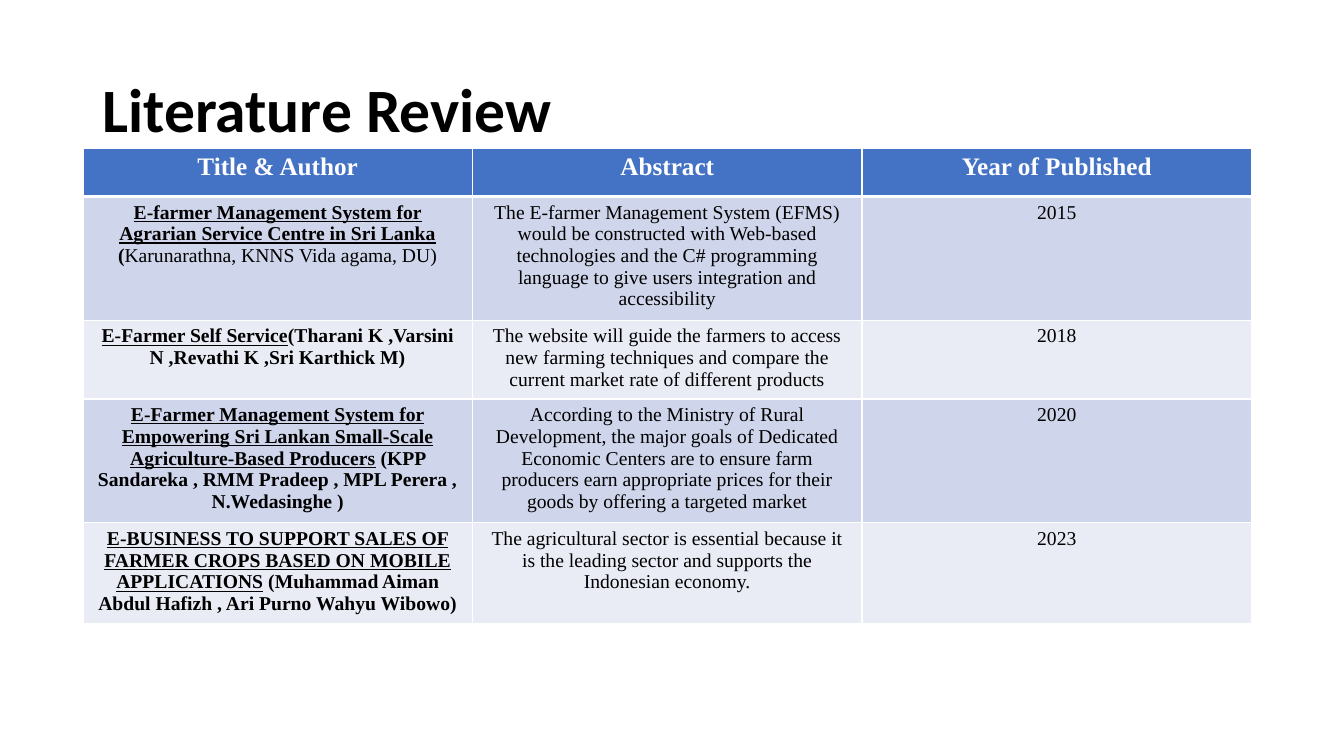
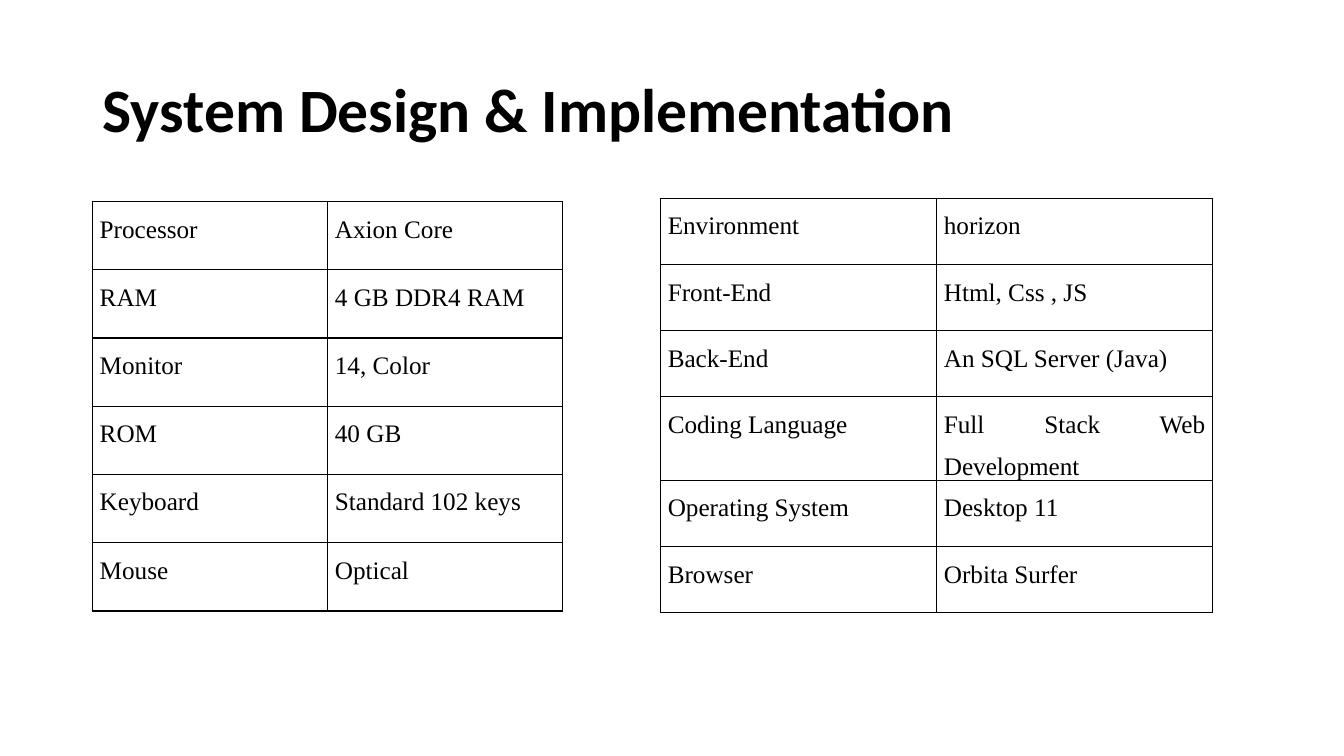
from dataclasses import dataclass

from lxml.etree import SubElement
from pptx import Presentation
from pptx.dml.color import RGBColor
from pptx.enum.text import MSO_ANCHOR as Anchor, MSO_AUTO_SIZE as AutoSize, PP_ALIGN as Align
from pptx.oxml.ns import qn
from pptx.util import Pt

PX = 9525  # EMU in one px, 96 px to the inch
SLIDE_SIZE = (1280, 720)
TITLE_BOX = (88, 38, 1104, 139)
TITLE_ONLY_LAYOUT = 5

COLORS = {
    "black": "000000",
    "white": "FFFFFF",
    "header": "4472C4",
    "odd_row": "CFD5EA",
    "even_row": "E9EBF5",
}
TITLE_FONT = "Calibri"
TABLE_FONT = "Times New Roman"


@dataclass(frozen=True)
class Run:
    text: str
    bold: bool = False
    underline: bool = False


@dataclass(frozen=True)
class TableStyle:
    border: str
    align: Align
    body_size: int
    line_spacing: float
    margins: tuple[int, int]  # horizontal, vertical
    banded: bool


@dataclass(frozen=True)
class TableSpec:
    left: int
    top: int
    column_width: int
    row_heights: list[int]
    rows: list[list[list[Run]]]
    style: TableStyle


REVIEW_STYLE = TableStyle("white", Align.CENTER, 14, 1.0, (10, 5), True)
SPECS_STYLE = TableStyle("black", Align.JUSTIFY, 18, 1.5, (7, 0), False)


def color(name: str) -> RGBColor:
    return RGBColor.from_string(COLORS[name])


def add_run(para, run: Run, font: str, size: int, color_name: str) -> None:
    span = para.add_run()
    span.text = run.text
    span.font.name = font
    span.font.size = Pt(size)
    span.font.bold = run.bold
    span.font.underline = run.underline
    span.font.color.rgb = color(color_name)


def place_title(layout) -> None:
    """Move the layout's title, so that every slide inherits its place."""
    box = layout.placeholders[0]
    box.left, box.top, box.width, box.height = (px * PX for px in TITLE_BOX)


def add_titled_page(deck, title: str):
    page = deck.slides.add_slide(deck.slide_layouts[TITLE_ONLY_LAYOUT])
    frame = page.shapes.title.text_frame
    frame.auto_size = AutoSize.NONE
    frame.vertical_anchor = Anchor.MIDDLE
    para = frame.paragraphs[0]
    para.alignment = Align.LEFT
    para.line_spacing = 0.9
    add_run(para, Run(title, bold=True), TITLE_FONT, 44, "black")
    return page


def set_borders(cell, color_name: str, top: int, bottom: int) -> None:
    """Line all four sides; top and bottom widths are in points."""
    properties = cell._tc.get_or_add_tcPr()
    for side, width in (("L", 1), ("R", 1), ("T", top), ("B", bottom)):
        line = SubElement(properties, qn(f"a:ln{side}"), w=str(Pt(width)))
        fill = SubElement(line, qn("a:solidFill"))
        SubElement(fill, qn("a:srgbClr"), val=COLORS[color_name])


def format_cell(cell, runs: list[Run], row: int, style: TableStyle) -> None:
    is_header = style.banded and row == 0
    set_borders(
        cell,
        style.border,
        top=3 if style.banded and row == 1 else 1,
        bottom=3 if is_header else 1,
    )
    if style.banded:
        cell.fill.solid()
        band = "odd_row" if row % 2 else "even_row"
        cell.fill.fore_color.rgb = color("header" if is_header else band)
    else:
        cell.fill.background()
    horizontal, vertical = (px * PX for px in style.margins)
    cell.margin_left = cell.margin_right = horizontal
    cell.margin_top = cell.margin_bottom = vertical
    para = cell.text_frame.paragraphs[0]
    para.alignment = style.align
    para.line_spacing = style.line_spacing
    size = 18 if is_header else style.body_size
    for run in runs:
        add_run(para, run, TABLE_FONT, size, "white" if is_header else "black")


def add_table(page, spec: TableSpec) -> None:
    column_count = len(spec.rows[0])
    table = page.shapes.add_table(
        len(spec.rows),
        column_count,
        spec.left * PX,
        spec.top * PX,
        spec.column_width * column_count * PX,
        sum(spec.row_heights) * PX,
    ).table
    table.first_row = spec.style.banded
    table.horz_banding = spec.style.banded
    for column in table.columns:
        column.width = spec.column_width * PX
    for row, (height, cells) in enumerate(zip(spec.row_heights, spec.rows)):
        table.rows[row].height = height * PX
        for column, runs in enumerate(cells):
            format_cell(table.cell(row, column), runs, row, spec.style)


def plain_rows(*rows: tuple[str, ...]) -> list[list[list[Run]]]:
    return [[[Run(text)] for text in row] for row in rows]


def paper(title: str, authors: list[Run], abstract: str, year: str) -> list[list[Run]]:
    return [[Run(title, bold=True, underline=True), *authors], [Run(abstract)], [Run(year)]]


REVIEW = TableSpec(
    79, 141, 371, [46, 118, 75, 118, 96],
    [
        [[Run(text, bold=True)] for text in ("Title & Author", "Abstract", "Year of Published")],
        paper(
            "E-farmer Management System for Agrarian Service Centre in Sri Lanka",
            [Run(" (", bold=True), Run("Karunarathna, KNNS Vida agama, DU)")],
            "The E-farmer Management System (EFMS) would be constructed with Web-based "
            "technologies and the C# programming language to give users integration and "
            "accessibility",
            "2015",
        ),
        paper(
            "E-Farmer Self Service",
            [Run("(Tharani K ,Varsini N ,Revathi K ,Sri Karthick M)", bold=True)],
            "The website will guide the farmers to access new farming techniques and "
            "compare the current market rate of different products",
            "2018",
        ),
        paper(
            "E-Farmer Management System for Empowering Sri Lankan Small-Scale "
            "Agriculture-Based Producers",
            [Run(" (KPP Sandareka , RMM Pradeep , MPL Perera , N.Wedasinghe )", bold=True)],
            "According to the Ministry of Rural Development, the major goals of Dedicated "
            "Economic Centers are to ensure farm producers earn appropriate prices for "
            "their goods by offering a targeted market",
            "2020",
        ),
        paper(
            "E-BUSINESS TO SUPPORT SALES OF FARMER CROPS BASED ON MOBILE APPLICATIONS",
            [Run(" (Muhammad Aiman Abdul Hafizh , Ari Purno Wahyu Wibowo)", bold=True)],
            "The agricultural sector is essential because it is the leading sector and "
            "supports the Indonesian economy.",
            "2023",
        ),
    ],
    REVIEW_STYLE,
)

HARDWARE = TableSpec(
    88, 192, 224, [65] * 6,
    plain_rows(
        ("Processor", "Axion Core"),
        ("RAM", "4 GB DDR4 RAM"),
        ("Monitor", "14, Color"),
        ("ROM", "40 GB"),
        ("Keyboard", "Standard 102 keys"),
        ("Mouse", "Optical"),
    ),
    SPECS_STYLE,
)

SOFTWARE = TableSpec(
    629, 189, 263, [63, 63, 63, 79, 63, 63],
    plain_rows(
        ("Environment", "horizon"),
        ("Front-End", "Html, Css , JS"),
        ("Back-End", "An SQL Server (Java)"),
        ("Coding Language", "Full Stack Web Development"),
        ("Operating System", "Desktop 11"),
        ("Browser", "Orbita Surfer"),
    ),
    SPECS_STYLE,
)

PAGES = {
    "Literature Review": [REVIEW],
    "System Design & Implementation": [HARDWARE, SOFTWARE],
}


def main() -> None:
    deck = Presentation()
    deck.slide_width, deck.slide_height = (px * PX for px in SLIDE_SIZE)
    place_title(deck.slide_layouts[TITLE_ONLY_LAYOUT])
    for title, tables in PAGES.items():
        page = add_titled_page(deck, title)
        for spec in tables:
            add_table(page, spec)
    deck.save("out.pptx")


if __name__ == "__main__":
    main()
